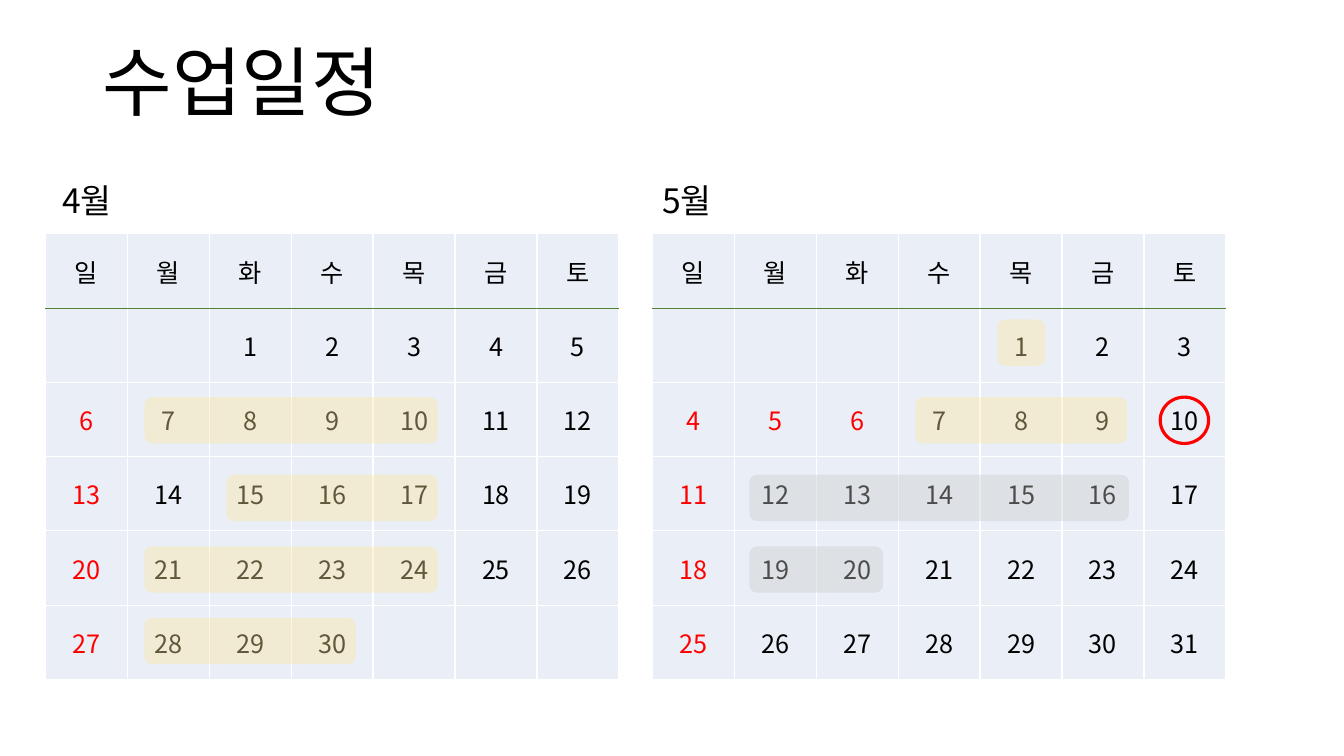
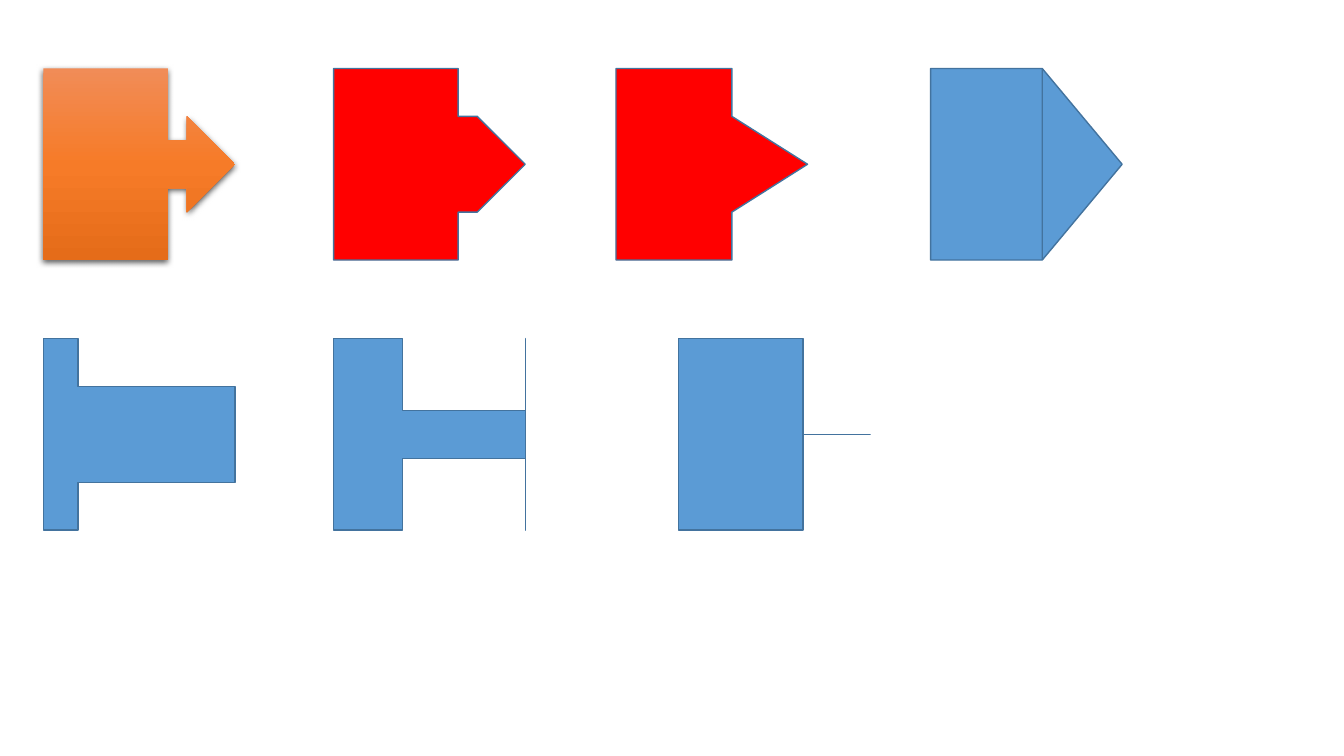
import copy
import dataclasses

import lxml.etree
import pptx
import pptx.dml.color
import pptx.enum.shapes
import pptx.enum.text
import pptx.oxml.ns
import pptx.util

Inches = pptx.util.Inches
Pt = pptx.util.Pt
Shape = pptx.enum.shapes.MSO_SHAPE
qn = pptx.oxml.ns.qn


@dataclasses.dataclass(frozen=True)
class Theme:
    font: str = "Noto Sans CJK KR"
    title_size: float = 54
    month_size: float = 24
    day_size: float = 18
    text: str = "000000"
    red: str = "FF0000"
    cell: str = "EAEFF7"
    grid: str = "FFFFFF"
    header_rule: str = "548235"
    class_day: str = "FFE699"
    exam_day: str = "C9C9C9"
    mark_alpha: int = 38
    blue: str = "5B9BD5"
    outline: str = "43739E"
    orange: tuple = ("F18C57", "F67B28", "E56C19")
    shadow: str = "000000"


WEEKDAYS = "일월화수목금토"
WEEKS = 5
COLUMN = 5.69 / 7
ROW = 4.42 / 6
TABLE_TOP = 2.32
APRIL_LEFT, MAY_LEFT = 0.45, 6.47
MARK_TOPS = (3.17, 3.94, 4.71, 5.42, 6.13)
MARK_HEIGHT = 0.46
CALLOUT = 1.9


def rgb(color):
    return pptx.dml.color.RGBColor.from_string(color)


def add_xml(parent, tag, **attributes):
    child = lxml.etree.SubElement(parent, qn(tag))
    for name, value in attributes.items():
        child.set(name, str(value))
    return child


class Deck:
    def __init__(self, theme):
        self.theme = theme
        self.deck = pptx.Presentation()
        self.deck.slide_width = Inches(13.33)
        self.deck.slide_height = Inches(7.5)
        self.page = None

    def new_page(self):
        self.page = self.deck.slides.add_slide(self.deck.slide_layouts[6])

    def style(self, para, size, color):
        for span in para.runs:
            span.font.size = Pt(size)
            span.font.bold = False
            span.font.color.rgb = rgb(color)
            span.font.name = self.theme.font
            add_xml(span.font._element, "a:ea", typeface=self.theme.font)

    def text(self, text, left, top, width, height, size, spacing=None):
        box = self.page.shapes.add_textbox(
            Inches(left), Inches(top), Inches(width), Inches(height))
        box.text_frame.word_wrap = True
        box.text_frame.text = text
        para = box.text_frame.paragraphs[0]
        para.line_spacing = spacing
        self.style(para, size, self.theme.text)

    def cell(self, cell, text, color, top, bottom):
        """Fill one calendar cell; top and bottom are border colours."""
        cell.text_frame.text = text
        cell.vertical_anchor = pptx.enum.text.MSO_ANCHOR.MIDDLE
        para = cell.text_frame.paragraphs[0]
        para.alignment = pptx.enum.text.PP_ALIGN.CENTER
        self.style(para, self.theme.day_size, color)
        borders = {"a:lnL": self.theme.grid, "a:lnR": self.theme.grid,
                   "a:lnT": top, "a:lnB": bottom}
        for tag, border in borders.items():
            line = add_xml(cell._tc.get_or_add_tcPr(), tag, w=Pt(1))
            add_xml(add_xml(line, "a:solidFill"), "a:srgbClr", val=border)
        cell.fill.solid()
        cell.fill.fore_color.rgb = rgb(self.theme.cell)

    def calendar(self, left, first_column, days, holidays):
        """Draw a month whose day 1 falls in first_column (Sunday is 0)."""
        theme = self.theme
        table = self.page.shapes.add_table(
            WEEKS + 1, len(WEEKDAYS), Inches(left), Inches(TABLE_TOP),
            Inches(COLUMN * len(WEEKDAYS)), Inches(ROW * (WEEKS + 1))).table
        table.first_row = table.horz_banding = False
        for column in table.columns:
            column.width = Inches(COLUMN)
        for row in table.rows:
            row.height = Inches(ROW)
        for index, weekday in enumerate(WEEKDAYS):
            self.cell(table.cell(0, index), weekday, theme.text,
                      theme.grid, theme.header_rule)
            for week in range(WEEKS):
                day = week * len(WEEKDAYS) + index - first_column + 1
                self.cell(table.cell(week + 1, index),
                          str(day) if 1 <= day <= days else "",
                          theme.red if index == 0 or day in holidays else theme.text,
                          theme.grid if week else theme.header_rule, theme.grid)

    def shape(self, kind, left, top, width, height, fill=None, line=None, line_width=1):
        shape = self.page.shapes.add_shape(
            kind, Inches(left), Inches(top), Inches(width), Inches(height))
        shape.shadow.inherit = False
        if fill:
            shape.fill.solid()
            shape.fill.fore_color.rgb = rgb(fill)
        else:
            shape.fill.background()
        if line:
            shape.line.color.rgb = rgb(line)
            shape.line.width = Pt(line_width)
        else:
            shape.line.fill.background()
        return shape

    def highlight(self, month_left, week, column, count, color, inset=0.17):
        """Tint a run of days with a translucent rounded bar."""
        bar = self.shape(
            Shape.ROUNDED_RECTANGLE, month_left + column * COLUMN + inset,
            MARK_TOPS[week], count * COLUMN - 2 * inset, MARK_HEIGHT, color)
        tint = bar._element.spPr.find(qn("a:solidFill"))[0]
        add_xml(tint, "a:alpha", val=self.theme.mark_alpha * 1000)

    def circle(self, month_left, week, column):
        self.shape(Shape.OVAL, month_left + column * COLUMN + 0.16,
                   MARK_TOPS[week], 0.48, MARK_HEIGHT,
                   line=self.theme.red, line_width=2.25)

    def callout(self, left, top, fill, adjustments):
        shape = self.shape(Shape.RIGHT_ARROW_CALLOUT, left, top, CALLOUT, CALLOUT,
                           fill, self.theme.outline)
        for index, value in enumerate(adjustments):
            shape.adjustments[index] = value

    def glossy_callout(self, left, top):
        """Draw the default callout with a gradient and a soft shadow."""
        shape = self.shape(Shape.RIGHT_ARROW_CALLOUT, left, top, CALLOUT, CALLOUT)
        shape.fill.gradient()
        shape.fill.gradient_angle = 270
        properties = shape._element.spPr
        stops = properties.find(qn("a:gradFill")).find(qn("a:gsLst"))
        stops.append(copy.deepcopy(stops[-1]))
        for index, color in enumerate(self.theme.orange):
            stop = shape.fill.gradient_stops[index]
            stop.position = index / 2
            stop.color.rgb = rgb(color)
        shadow = add_xml(properties.find(qn("a:effectLst")), "a:outerShdw",
                         blurRad=Pt(4.5), dist=Pt(1.5), dir=90 * 60000,
                         algn="ctr", rotWithShape=0)
        color = add_xml(shadow, "a:srgbClr", val=self.theme.shadow)
        add_xml(color, "a:alpha", val=63000)


def schedule_page(deck):
    theme = deck.theme
    deck.new_page()
    deck.text("수업일정", 0.92, 0.4, 11.5, 1.45, theme.title_size, 0.9)
    deck.text("4월", 0.52, 1.74, 1.56, 0.5, theme.month_size)
    deck.text("5월", 6.47, 1.74, 1.56, 0.5, theme.month_size)
    deck.calendar(APRIL_LEFT, 2, 30, ())
    deck.calendar(MAY_LEFT, 4, 31, (5, 6))
    deck.circle(MAY_LEFT, 1, 6)
    class_runs = [
        (APRIL_LEFT, 1, 1, 4), (APRIL_LEFT, 2, 2, 3), (APRIL_LEFT, 3, 1, 4),
        (APRIL_LEFT, 4, 1, 3), (MAY_LEFT, 1, 3, 3), (MAY_LEFT, 0, 4, 1),
    ]
    for run in class_runs:
        deck.highlight(*run, theme.class_day)
    for week, count in ((2, 5), (3, 2)):
        deck.highlight(MAY_LEFT, week, 1, count, theme.exam_day, 0.15)


def callout_page(deck):
    theme = deck.theme
    upper, lower = 0.68, 3.36
    deck.new_page()
    deck.glossy_callout(0.43, upper)
    callouts = [
        (3.31, upper, theme.red, (0.5, 0.25, 0.25, 0.65)),
        (6.11, upper, theme.red, (0.5, 0.25, 0.395, 0.65)),
        (9.23, upper, theme.blue, (0, 0.5, 0.417, 0.65)),
        (0.43, lower, theme.blue, (0.5, 0.25, 0, 0.182)),
        (3.31, lower, theme.blue, (0.25, 0.5, 0, 0.359)),
        (6.73, lower, theme.blue, (0.25, 0, 0, 0.65)),
    ]
    for callout in callouts:
        deck.callout(*callout)


def main():
    deck = Deck(Theme())
    schedule_page(deck)
    callout_page(deck)
    deck.deck.save("out.pptx")


if __name__ == "__main__":
    main()
